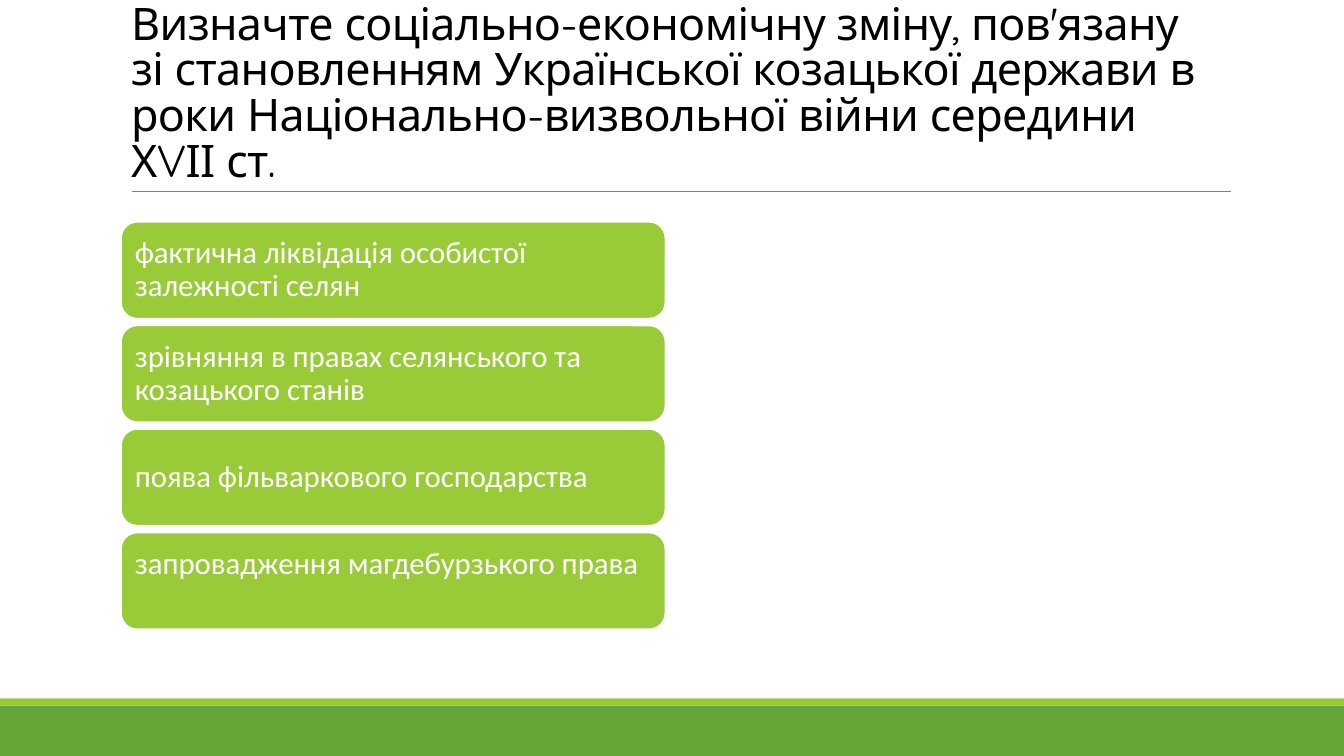
from dataclasses import dataclass

from lxml import etree
from pptx import Presentation
from pptx import util as u
from pptx.dml.color import RGBColor
from pptx.enum import shapes, text
from pptx.oxml.ns import qn

# Content
QUESTION = ("Визначте соціально-економічну зміну, пов'язану зі становленням "
            "Української козацької держави в роки Національно-визвольної війни "
            "середини ХVІІ ст.")
# Answer text and the extra space kept below it (cm)
ANSWERS = [
    ("фактична ліквідація особистої залежності селян", 0),
    ("зрівняння в правах селянського та козацького станів", 0),
    ("поява фільваркового господарства", 0),
    ("запровадження магдебурзького права", 0.85),
]


@dataclass(frozen=True)
class Theme:
    green: RGBColor = RGBColor(0x63, 0xA5, 0x37)
    lime: RGBColor = RGBColor(0x99, 0xCB, 0x38)
    gray: RGBColor = RGBColor(0x80, 0x80, 0x80)
    white: RGBColor = RGBColor(0xFF, 0xFF, 0xFF)
    black: RGBColor = RGBColor(0, 0, 0)
    title_font: str = "Quicksand"
    body_font: str = "Calibri"
    title_size: u.Pt = u.Pt(32)
    body_size: u.Pt = u.Pt(22)


THEME = Theme()
WIDTH, HEIGHT = 33.87, 19.05
BAND_HEIGHT, STRIPE_HEIGHT = 1.27, 0.18
LEFT = 3.05
CARD_TOP, CARD_WIDTH, CARD_HEIGHT, CARD_GAP = 5.59, 13.72, 2.44, 0.17
CARD_INSET = 0.23


def add_box(slide, kind, left, top, width, height, fill):
    shape = slide.shapes.add_shape(kind, u.Cm(left), u.Cm(top), u.Cm(width), u.Cm(height))
    shape.shadow.inherit = False
    shape.fill.solid()
    shape.fill.fore_color.rgb = fill
    shape.line.fill.background()
    return shape


def write(frame, words, font, size, color, spacing):
    frame.word_wrap = True
    paragraph = frame.paragraphs[0]
    paragraph.text = words
    paragraph.alignment = text.PP_ALIGN.LEFT
    paragraph.line_spacing = spacing
    paragraph.font.name = font
    paragraph.font.size = size
    paragraph.font.color.rgb = color
    return paragraph


def add_footer_bands(slide):
    band_top = HEIGHT - BAND_HEIGHT
    rectangle = shapes.MSO_SHAPE.RECTANGLE
    add_box(slide, rectangle, 0, band_top, WIDTH, BAND_HEIGHT, THEME.green)
    add_box(slide, rectangle, 0, band_top - STRIPE_HEIGHT, WIDTH, STRIPE_HEIGHT, THEME.lime)


def add_title(slide):
    title = slide.shapes.title
    title.left, title.top = u.Cm(LEFT), u.Cm(0.79)
    title.width, title.height = u.Cm(27.94), u.Cm(4.04)
    frame = title.text_frame
    frame.auto_size = text.MSO_AUTO_SIZE.NONE
    frame.vertical_anchor = text.MSO_ANCHOR.BOTTOM
    paragraph = write(frame, QUESTION, THEME.title_font, THEME.title_size, THEME.black, 0.85)
    # Slightly tightened letters
    paragraph.runs[0]._r.get_or_add_rPr().set("spc", "-50")

    # Rule below the title
    rule = slide.shapes.add_connector(shapes.MSO_CONNECTOR.STRAIGHT,
                                      u.Cm(3.33), u.Cm(4.83), u.Cm(31.01), u.Cm(4.83))
    rule.line.color.rgb = THEME.gray
    rule.line.width = u.Pt(0.5)
    etree.SubElement(rule._element.spPr, qn("a:effectLst"))


def add_answers(slide):
    for index, (answer, space_below) in enumerate(ANSWERS):
        top = CARD_TOP + index * (CARD_HEIGHT + CARD_GAP)
        card = add_box(slide, shapes.MSO_SHAPE.ROUNDED_RECTANGLE,
                       LEFT, top, CARD_WIDTH, CARD_HEIGHT, THEME.lime)
        card.line.color.rgb = THEME.white
        card.line.width = u.Pt(1.25)
        frame = card.text_frame
        frame.margin_left = frame.margin_right = frame.margin_top = u.Cm(CARD_INSET)
        frame.margin_bottom = u.Cm(CARD_INSET + space_below)
        frame.vertical_anchor = text.MSO_ANCHOR.MIDDLE
        write(frame, answer, THEME.body_font, THEME.body_size, THEME.white, 0.9)


def main():
    presentation = Presentation()
    presentation.slide_width, presentation.slide_height = u.Cm(WIDTH), u.Cm(HEIGHT)
    slide = presentation.slides.add_slide(presentation.slide_layouts[5])
    add_footer_bands(slide)
    add_title(slide)
    add_answers(slide)
    presentation.save("out.pptx")


if __name__ == "__main__":
    main()
